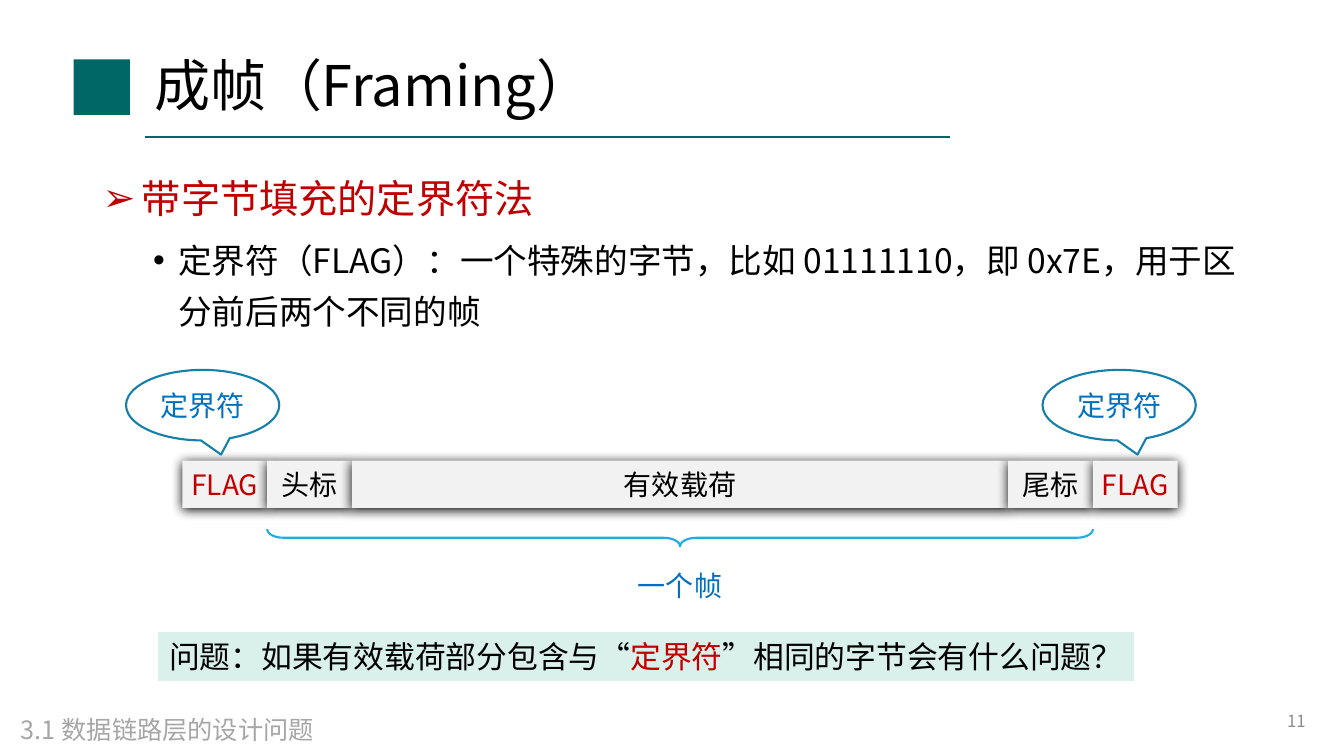
from lxml import etree
from pptx import Presentation
from pptx import util as u
from pptx.dml.color import RGBColor
from pptx.enum import shapes, text
from pptx.oxml import ns

C = {"teal": "006666", "red": "C00000", "black": "000000", "blue": "0070C0",
     "cell": "F2F2F2", "brace": "1CADE4", "callout": "1580A9", "white": "FFFFFF",
     "mint": "D9F1EA", "number": "8C8C8C", "footer": "A6A6A6"}
FONT = "Noto Sans CJK SC"
LEFT, CENTER, RIGHT = text.PP_ALIGN.LEFT, text.PP_ALIGN.CENTER, text.PP_ALIGN.RIGHT
TOP, MIDDLE = text.MSO_ANCHOR.TOP, text.MSO_ANCHOR.MIDDLE

prs = Presentation()
prs.slide_width, prs.slide_height = u.Inches(13.33), u.Inches(7.5)
s = prs.slides.add_slide(prs.slide_layouts[6])


def write(p, runs, size, align=LEFT):
    p.alignment = align
    for words, color in runs:
        r = p.add_run()
        r.text = words
        for name, value in {"size": u.Pt(size), "name": FONT}.items():
            setattr(r.font, name, value)
        r.font.color.rgb = RGBColor.from_string(C[color])
        etree.SubElement(r.font._element, ns.qn("a:ea"), typeface=FONT)


def add_shape(kind, box, fill=None, line=None, width=1.5):
    sp = s.shapes.add_shape(kind, *map(u.Inches, box))
    sp.shadow.inherit = False
    if fill:
        sp.fill.solid()
        sp.fill.fore_color.rgb = RGBColor.from_string(C[fill])
    else:
        sp.fill.background()
    if line:
        sp.line.color.rgb = RGBColor.from_string(C[line])
        sp.line.width = u.Pt(width)
    else:
        sp.line.fill.background()
    return sp


# Title mark and rule
add_shape(shapes.MSO_SHAPE.RECTANGLE, (0.73, 0.59, 0.56, 0.55), "teal")
rule = s.shapes.add_connector(shapes.MSO_CONNECTOR.STRAIGHT,
                              *map(u.Inches, (1.44, 1.36, 9.42, 1.36)))
rule.line.color.rgb = RGBColor.from_string(C["teal"])
rule.line.width = u.Pt(1.5)
etree.SubElement(rule._element.spPr, ns.qn("a:effectLst"))

# Title, page number, footer and frame label
for box, words, size, color, align, anchor, spacing in [
    ((1.43, 0.4, 8.99, 0.96), "成帧（Framing）", 40, "black", LEFT, MIDDLE, 0.9),
    ((9.42, 6.95, 3.63, 0.4), "11", 12, "number", RIGHT, MIDDLE, 1.0),
    ((0.11, 7.04, 3.29, 0.4), "3.1 数据链路层的设计问题", 18, "footer", LEFT, TOP, 1.0),
    ((5.96, 5.59, 1.57, 0.44), "一个帧", 20, "blue", CENTER, TOP, 1.0),
]:
    tf = s.shapes.add_textbox(*map(u.Inches, box)).text_frame
    for name, value in {"word_wrap": True, "vertical_anchor": anchor}.items():
        setattr(tf, name, value)
    tf.paragraphs[0].line_spacing = spacing
    write(tf.paragraphs[0], [(words, color)], size, align)

# Bulleted body
tf = s.shapes.add_textbox(*map(u.Inches, (0.92, 1.65, 11.5, 4.51))).text_frame
tf.word_wrap = True
for level, (words, size, color, bullet, margin, hang) in enumerate([
    ("带字节填充的定界符法", 28, "red", "➢", 0.39, 0.39),
    ("定界符（FLAG）：一个特殊的字节，比如 01111110，即 0x7E，用于区分前后两个不同的帧",
     24, "black", "•", 0.75, 0.25),
]):
    p = tf.add_paragraph() if level else tf.paragraphs[0]
    p.level = level
    p.line_spacing = u.Pt(36)
    if level:
        p.space_before = u.Pt(6)
    pPr = p._p.get_or_add_pPr()
    pPr.set("marL", str(u.Inches(margin)))
    pPr.set("indent", str(-u.Inches(hang)))
    etree.SubElement(pPr, ns.qn("a:buFont"), typeface="Arial")
    etree.SubElement(pPr, ns.qn("a:buChar"), char=bullet)
    write(p, [(words, color)], size)

# Frame fields, laid end to end
x = 1.81
for words, width, color in [("FLAG", 0.84, "red"), ("头标", 0.84, "black"),
                            ("有效载荷", 6.51, "black"), ("尾标", 0.84, "black"),
                            ("FLAG", 0.84, "red")]:
    sp = add_shape(shapes.MSO_SHAPE.RECTANGLE, (x, 4.57, width, 0.47), "cell")
    effects = sp._element.spPr.find(ns.qn("a:effectLst"))
    shadow = etree.SubElement(effects, ns.qn("a:outerShdw"), blurRad=str(u.Pt(8.5)),
                              dist=str(u.Pt(1)), dir="5400000", algn="t", rotWithShape="0")
    etree.SubElement(shadow, ns.qn("a:srgbClr"), val=C["black"])
    tf = sp.text_frame
    for name, value in {"margin_left": 0, "margin_right": 0, "margin_top": 0,
                        "margin_bottom": 0, "word_wrap": False,
                        "vertical_anchor": MIDDLE}.items():
        setattr(tf, name, value)
    write(tf.paragraphs[0], [(words, color)], 20, CENTER)
    x += width

# Brace under the frame
brace = add_shape(shapes.MSO_SHAPE.LEFT_BRACE, (6.66, 1.24, 0.17, 8.19), line="brace")
brace.rotation = 270
brace.adjustments[0], brace.adjustments[1] = 0.95, 0.5

# Delimiter callouts
for x in (1.25, 10.34):
    sp = add_shape(shapes.MSO_SHAPE.OVAL_CALLOUT, (x, 3.67, 1.52, 0.7), "white", "callout")
    sp.adjustments[0], sp.adjustments[1] = 0.12, 0.7
    sp.text_frame.word_wrap = True
    sp.text_frame.vertical_anchor = MIDDLE
    write(sp.text_frame.paragraphs[0], [("定界符", "blue")], 20, CENTER)

# Question strip
sp = add_shape(shapes.MSO_SHAPE.RECTANGLE, (1.57, 6.28, 9.67, 0.47), "mint", "mint", 0.75)
sp.text_frame.word_wrap = True
sp.text_frame.vertical_anchor = TOP
write(sp.text_frame.paragraphs[0],
      [("问题：如果有效载荷部分包含与“", "black"), ("定界符", "red"),
       ("”相同的字节会有什么问题？", "black")], 22, CENTER)

prs.save("out.pptx")
